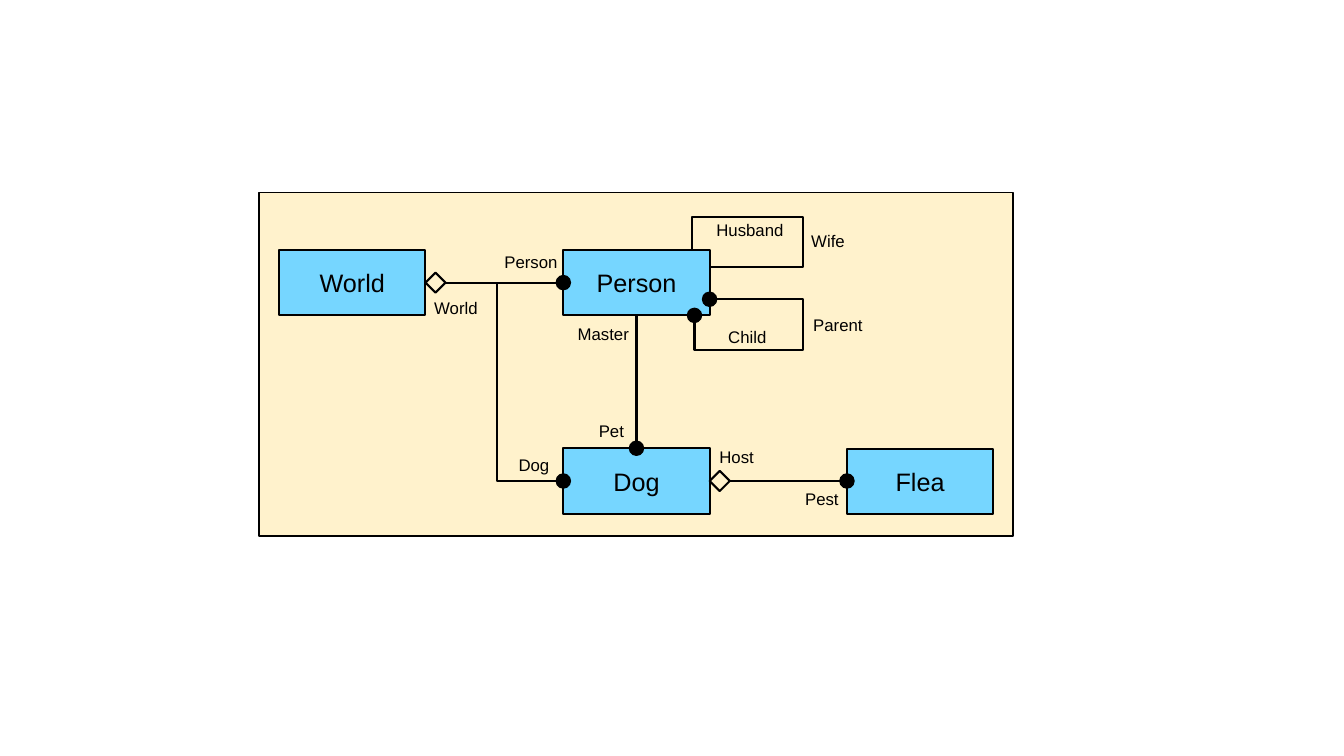
import dataclasses

import pptx
import pptx.dml.color
import pptx.enum.shapes
import pptx.enum.text
import pptx.oxml
import pptx.oxml.ns
import pptx.util

Pt = pptx.util.Pt
SHAPE = pptx.enum.shapes.MSO_SHAPE
CONNECTOR = pptx.enum.shapes.MSO_CONNECTOR
ALIGN = pptx.enum.text.PP_ALIGN
ANCHOR = pptx.enum.text.MSO_ANCHOR


@dataclasses.dataclass(frozen=True)
class Theme:
    """Colours, type sizes and line widths of the diagram."""
    font: str = "Arial"
    ink: str = "000000"
    panel: str = "FFF2CC"
    entity: str = "76D6FF"
    entity_size: float = 18
    role_size: float = 12
    thin: float = 1
    line: float = 1.5


THEME = Theme()
ENTITY_W, ENTITY_H = 104.5, 46.8
DOT, DIAMOND = 10.1, 14.4
ROLE_H = 21.6
ENTITIES = {
    "World": (14.4, 41),
    "Person": (217.4, 41),
    "Dog": (217.4, 182.7),
    "Flea": (420, 182.9),
}
ROLES = [
    ("Husband", 319, 15.8, 63.4, ALIGN.CENTER),
    ("Wife", 387.4, 23.8, 38.9, ALIGN.LEFT),
    ("Parent", 388.8, 83.5, 49.7, ALIGN.LEFT),
    ("Child", 327.6, 92.2, 42.5, ALIGN.CENTER),
    ("Master", 219.6, 90, 51.8, ALIGN.RIGHT),
    ("Pet", 235.4, 159.8, 32.4, ALIGN.RIGHT),
    ("Dog", 177.8, 183.6, 36.7, ALIGN.RIGHT),
    ("World", 118.1, 71.3, 46.1, ALIGN.LEFT),
    ("Person", 167.8, 38.9, 52.6, ALIGN.RIGHT),
    ("Pest", 382.3, 208.1, 38.9, ALIGN.RIGHT),
    ("Host", 321.8, 177.8, 40.3, ALIGN.LEFT),
]


def rgb(value):
    """Return a colour object for a hex value."""
    return pptx.dml.color.RGBColor.from_string(value)


def write(tf, text, size, align=ALIGN.CENTER, anchor=ANCHOR.TOP, wrap=True):
    """Put one formatted line of text in a text frame."""
    tf.word_wrap = wrap
    tf.vertical_anchor = anchor
    p = tf.paragraphs[0]
    p.alignment = align
    r = p.add_run()
    r.text = text
    r.font.name = THEME.font
    r.font.size = Pt(size)
    r.font.color.rgb = rgb(THEME.ink)


def add_shape(s, kind, x, y, w, h, fill=None, width=THEME.line):
    """Add an outlined shape, filled when a colour is given."""
    sp = s.shapes.add_shape(kind, Pt(x), Pt(y), Pt(w), Pt(h))
    sp.shadow.inherit = False
    if fill:
        sp.fill.solid()
        sp.fill.fore_color.rgb = rgb(fill)
    else:
        sp.fill.background()
    sp.line.color.rgb = rgb(THEME.ink)
    sp.line.width = Pt(width)
    return sp


def add_line(s, x1, y1, x2, y2, kind=CONNECTOR.STRAIGHT):
    """Add a plain connector without a shadow."""
    cx = s.shapes.add_connector(kind, Pt(x1), Pt(y1), Pt(x2), Pt(y2))
    cx.line.color.rgb = rgb(THEME.ink)
    cx.line.width = Pt(THEME.line)
    cx._element.spPr.append(pptx.oxml.parse_xml(
        f'<a:effectLst {pptx.oxml.ns.nsdecls("a")}/>'))
    return cx


def add_corner(s, x1, y1, x2, y2):
    """Add a one-bend connector running down from x1, y1 and right to x2, y2."""
    spPr = add_line(s, x1, y1, x2, y2, CONNECTOR.ELBOW)._element.spPr
    spPr.find(pptx.oxml.ns.qn("a:xfrm")).set("rot", "10800000")
    spPr.find(pptx.oxml.ns.qn("a:prstGeom")).set("prst", "bentConnector2")


def add_dot(s, x, y):
    """Add a black dot centred on a point."""
    return add_shape(s, SHAPE.OVAL, x - DOT / 2, y - DOT / 2, DOT, DOT,
                     THEME.ink, THEME.thin)


def add_entity(s, name, x, y):
    """Add a named entity box."""
    sp = add_shape(s, SHAPE.RECTANGLE, x, y, ENTITY_W, ENTITY_H, THEME.entity)
    write(sp.text_frame, name, THEME.entity_size, anchor=ANCHOR.MIDDLE)
    return sp


def add_role(s, text, x, y, w, align):
    """Add a small role label."""
    tf = s.shapes.add_textbox(Pt(x), Pt(y), Pt(w), Pt(ROLE_H)).text_frame
    write(tf, text, THEME.role_size, align, wrap=False)
    tf.auto_size = pptx.enum.text.MSO_AUTO_SIZE.SHAPE_TO_FIT_TEXT


def add_aggregation(s, owner, part):
    """Join an owner's right side to a part's left side, diamond to dot."""
    x, y = owner[0] + ENTITY_W, owner[1] + ENTITY_H / 2
    diamond = add_shape(s, SHAPE.DIAMOND, x, y - DIAMOND / 2, DIAMOND, DIAMOND)
    cx = add_line(s, x + DIAMOND, y, part[0] - DOT / 2, y)
    cx.begin_connect(diamond, 3)
    add_dot(s, part[0], y)


def class_diagram(s, left, top, w, h):
    """Draw the whole class diagram inside the given box."""
    add_shape(s, SHAPE.RECTANGLE, left, top, w, h, THEME.panel, THEME.thin)
    at = {name: (left + x, top + y) for name, (x, y) in ENTITIES.items()}
    person, dog = at["Person"], at["Dog"]
    person_right, person_bottom = person[0] + ENTITY_W, person[1] + ENTITY_H
    middle_x, dog_middle = dog[0] + ENTITY_W / 2, dog[1] + ENTITY_H / 2

    loop_right, loop_h = left + 388.8, 36
    child_x, child_y = left + 311.1, top + 76.3
    for x, y in ((left + 309.6, top + 17.3), (child_x, child_y)):
        add_shape(s, SHAPE.RECTANGLE, x, y, loop_right - x, loop_h)

    boxes = {name: add_entity(s, name, *spot) for name, spot in at.items()}

    add_aggregation(s, at["World"], person)
    add_aggregation(s, dog, at["Flea"])
    add_corner(s, left + 170, person[1] + ENTITY_H / 2,
               dog[0] - DOT / 2, dog_middle)
    master = add_line(s, middle_x, dog[1] - DOT / 2, middle_x, person_bottom)
    master.end_connect(boxes["Person"], 2)
    for x, y in ((person_right, child_y), (child_x, person_bottom),
                 (middle_x, dog[1]), (dog[0], dog_middle)):
        add_dot(s, x, y)

    for text, x, y, role_w, align in ROLES:
        add_role(s, text, left + x, top + y, role_w, align)


def main():
    """Build and save the presentation."""
    prs = pptx.Presentation()
    prs.slide_width, prs.slide_height = Pt(960), Pt(540)
    s = prs.slides.add_slide(prs.slide_layouts[6])
    class_diagram(s, 185, 137.5, 538.6, 245.5)
    prs.save("out.pptx")


if __name__ == "__main__":
    main()
